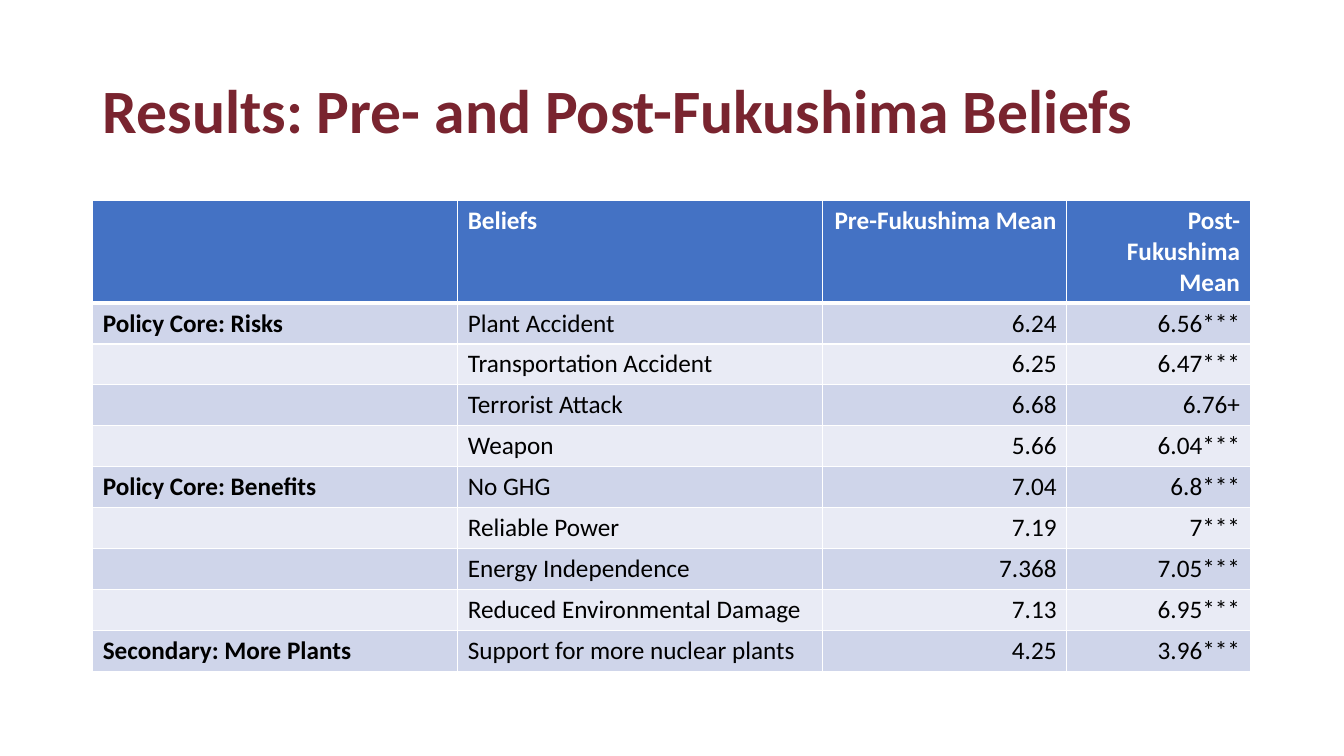
"""Build the slide comparing nuclear energy beliefs before and after Fukushima."""
import pptx
import pptx.dml.color
import pptx.enum.text
import pptx.oxml
import pptx.oxml.ns
import pptx.util
from pptx.util import Inches

FONT = "Calibri"
WHITE = "FFFFFF"
HEADER_FILL = "4472C4"
BAND_FILLS = ("CFD5EA", "E9EBF5")
COLUMN_WIDTHS = (3.62, 3.62, 2.42, 1.82)
HEADER_HEIGHT = 1.01
ROW_HEIGHT = 0.406
ROWS = (
    ("", "Beliefs", "Pre-Fukushima Mean", "Post-Fukushima Mean"),
    ("Policy Core: Risks", "Plant Accident", "6.24", "6.56***"),
    ("", "Transportation Accident", "6.25", "6.47***"),
    ("", "Terrorist Attack", "6.68", "6.76+"),
    ("", "Weapon", "5.66", "6.04***"),
    ("Policy Core: Benefits", "No GHG", "7.04", "6.8***"),
    ("", "Reliable Power", "7.19", "7***"),
    ("", "Energy Independence", "7.368", "7.05***"),
    ("", "Reduced Environmental Damage", "7.13", "6.95***"),
    ("Secondary: More Plants", "Support for more nuclear plants", "4.25", "3.96***"),
)


def color(hex_string):
    """Return the colour for a hex string."""
    return pptx.dml.color.RGBColor.from_string(hex_string)


def format_runs(paragraph, size, hex_color, bold):
    """Apply the slide font to every run of a paragraph."""
    for run in paragraph.runs:
        run.font.name = FONT
        run.font.size = pptx.util.Pt(size)
        run.font.bold = bold
        run.font.color.rgb = color(hex_color)


def add_title(slide, text):
    """Place and format the title placeholder."""
    title = slide.shapes.title
    title.left, title.top = Inches(0.92), Inches(0.4)
    title.width, title.height = Inches(11.5), Inches(1.45)
    title.text_frame.text = text
    title.text_frame.vertical_anchor = pptx.enum.text.MSO_ANCHOR.MIDDLE
    paragraph = title.text_frame.paragraphs[0]
    paragraph.alignment = pptx.enum.text.PP_ALIGN.LEFT
    paragraph.line_spacing = 0.9
    format_runs(paragraph, 44, "79242F", True)


def set_borders(cell, bottom_width):
    """Draw white cell borders, one point wide except at the bottom."""
    properties = cell._tc.get_or_add_tcPr()
    for side, width in (("L", 1), ("R", 1), ("T", 1), ("B", bottom_width)):
        properties.append(pptx.oxml.parse_xml(
            f'<a:ln{side} {pptx.oxml.ns.nsdecls("a")} w="{pptx.util.Pt(width)}">'
            f'<a:solidFill><a:srgbClr val="{WHITE}"/></a:solidFill></a:ln{side}>'))


def fill_cell(cell, text, row_index, column_index):
    """Write and format one table cell according to its place."""
    is_header = row_index == 0
    set_borders(cell, 3 if is_header else 1)
    cell.fill.solid()
    cell.fill.fore_color.rgb = color(
        HEADER_FILL if is_header else BAND_FILLS[(row_index - 1) % 2])
    cell.text_frame.text = text
    paragraph = cell.text_frame.paragraphs[0]
    alignments = pptx.enum.text.PP_ALIGN
    paragraph.alignment = alignments.RIGHT if column_index >= 2 else alignments.LEFT
    format_runs(paragraph, 18, WHITE if is_header else "000000",
                is_header or column_index == 0)


def add_beliefs_table(slide):
    """Add the table of mean beliefs."""
    heights = [HEADER_HEIGHT] + [ROW_HEIGHT] * (len(ROWS) - 1)
    table = slide.shapes.add_table(
        len(ROWS), len(COLUMN_WIDTHS), Inches(0.92), Inches(1.99),
        Inches(sum(COLUMN_WIDTHS)), Inches(sum(heights))).table
    for column, width in zip(table.columns, COLUMN_WIDTHS):
        column.width = Inches(width)
    for row_index, (values, height) in enumerate(zip(ROWS, heights)):
        table.rows[row_index].height = Inches(height)
        for column_index, text in enumerate(values):
            fill_cell(table.cell(row_index, column_index), text,
                      row_index, column_index)


def main():
    """Create and save the presentation."""
    presentation = pptx.Presentation()
    presentation.slide_width = Inches(13.33)
    presentation.slide_height = Inches(7.5)
    slide = presentation.slides.add_slide(presentation.slide_layouts[5])
    add_title(slide, "Results: Pre- and Post-Fukushima Beliefs")
    add_beliefs_table(slide)
    presentation.save("out.pptx")


if __name__ == "__main__":
    main()
